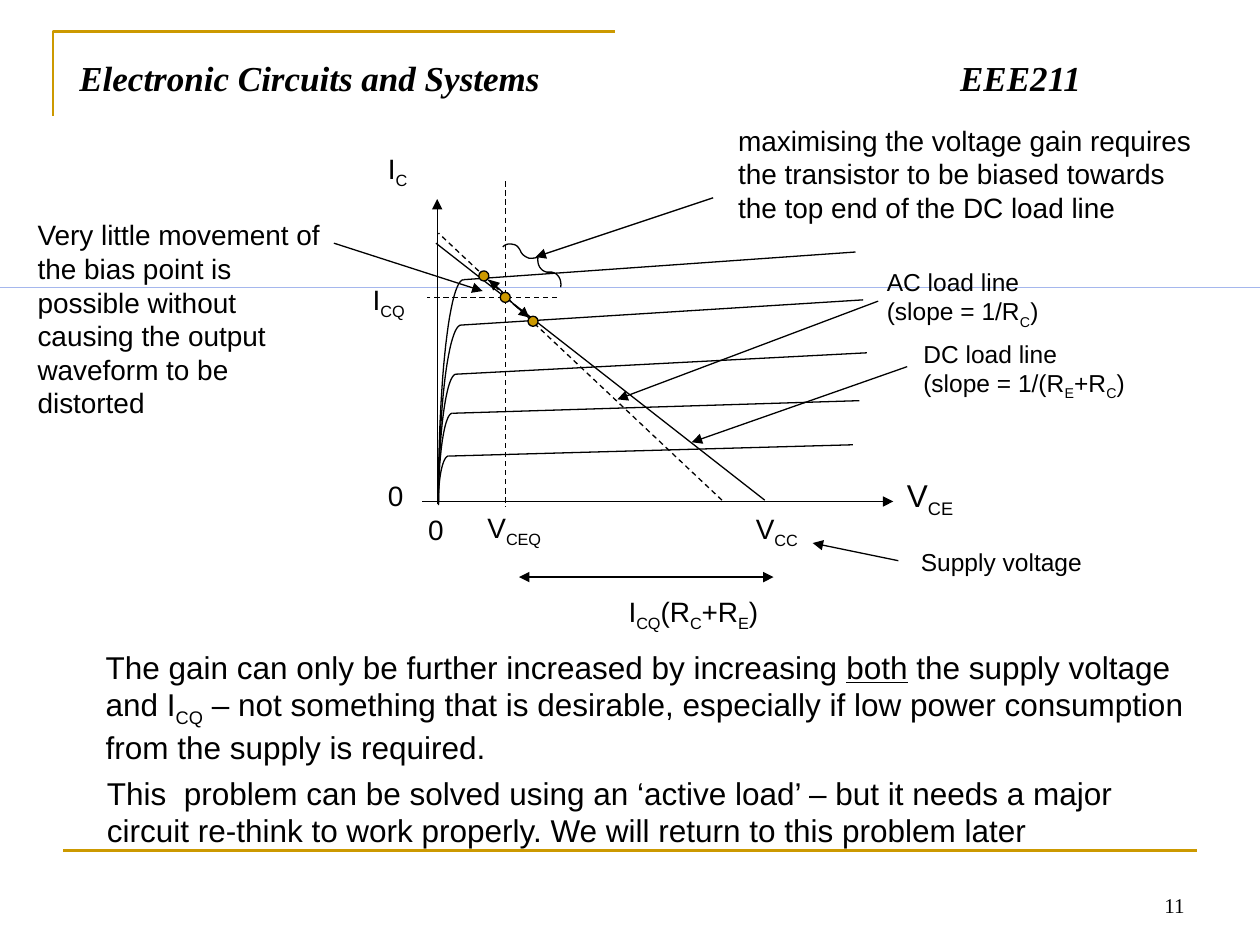
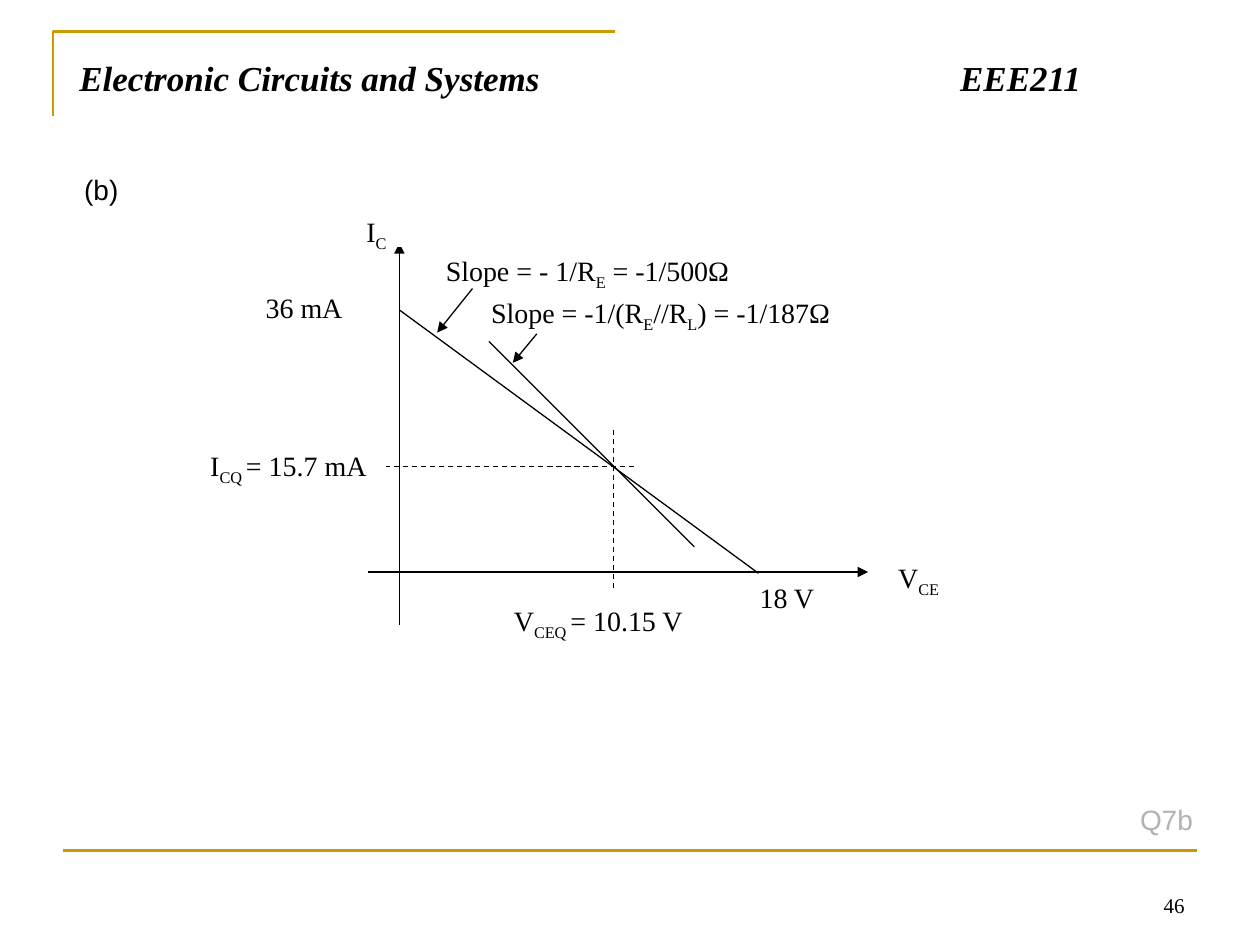
from math import sin, cos, pi
from pptx import Presentation
from pptx.util import Inches, Pt
from pptx.dml.color import RGBColor
from pptx.enum.dml import MSO_LINE as Dash
from pptx.enum.shapes import MSO_CONNECTOR as Conn, MSO_SHAPE as Shape
from pptx.enum.text import MSO_ANCHOR as Anchor, MSO_AUTO_SIZE as Fit, PP_ALIGN as Align
from pptx.oxml import parse_xml
from pptx.oxml.ns import nsdecls

SANS, SERIF = "Arial", "Times New Roman"
GOLD, BLACK, WHITE, GREY, BLUE = "CC9900", "000000", "FFFFFF", "B2B2B2", "0033CC"
tint = RGBColor.from_string


def line(slide, x1, y1, x2, y2, look="", color=BLACK, width=0.75):
    link = slide.shapes.add_connector(
        Conn.STRAIGHT, Inches(x1), Inches(y1), Inches(x2), Inches(y2))
    link.line.color.rgb = tint(color)
    link.line.width = Pt(width)
    if "dash" in look:
        link.line.dash_style = Dash.DASH
    props = link._element.spPr
    for end in ("head", "tail"):
        if end in look:
            props.find("{*}ln").append(
                parse_xml(f'<a:{end}End {nsdecls("a")} type="triangle"/>'))
    props.append(parse_xml(f'<a:effectLst {nsdecls("a")}/>'))


# "|" parts runs, "_" opens a subscript, "~" an underlined run, "\n" breaks the line
def label(slide, x, y, w, h, text, size=16, font=SANS, color=BLACK, fill=None):
    box = slide.shapes.add_textbox(Inches(x), Inches(y), Inches(w), Inches(h))
    if fill:
        box.fill.solid()
        box.fill.fore_color.rgb = tint(fill)
    box.text_frame.word_wrap = True
    para = box.text_frame.paragraphs[0]
    for part in text.split("|"):
        if part == "\n":
            para.add_line_break()
            continue
        run = para.add_run()
        run.text = part.lstrip("_~")
        run.font.size = Pt(size)
        run.font.name = font
        run.font.color.rgb = tint(color)
        if part.startswith("_"):
            run._r.get_or_add_rPr().set("baseline", "-25000")
        if part.startswith("~"):
            run.font.underline = True
    return box


deck = Presentation()
deck.slide_width, deck.slide_height = Inches(10), Inches(7.5)

knees = [(3.68, 2.22, 3.98, 6.79, 2), (3.66, 2.58, 4.01, 6.85, 2.38),
         (3.62, 2.97, 4, 6.88, 2.8), (3.59, 3.28, 3.99, 6.82, 3.18),
         (3.56, 3.62, 3.98, 6.77, 3.53)]
curves = []
for knee, top, base, end, rise in knees:
    turns = [n * pi / 48 for n in range(25)]
    curves.append([(knee - (knee - 3.48) * sin(t), base - (base - top) * cos(t))
                   for t in turns])

bends = [(3.99, 1.96), (4.01, 1.94), (4.04, 1.93), (4.07, 1.94), (4.1, 1.94),
         (4.12, 1.97), (4.13, 1.99), (4.14, 2.02), (4.17, 2.04), (4.2, 2.05),
         (4.22, 2.05), (4.25, 2.05), (4.27, 2.04), (4.26, 2.1), (4.29, 2.15),
         (4.34, 2.16), (4.35, 2.16), (4.37, 2.16), (4.38, 2.16), (4.43, 2.17),
         (4.46, 2.22), (4.45, 2.28)]
wave = []
for i in range(0, len(bends) - 1, 3):
    for n in range(9):
        t = n / 8
        mix = ((1 - t) ** 3, 3 * t * (1 - t) ** 2, 3 * t * t * (1 - t), t ** 3)
        wave.append(tuple(sum(m * p[k] for m, p in zip(mix, bends[i:i + 4]))
                          for k in (0, 1)))

frame = [(0.42, 0.92), (0.42, 0.25), (4.88, 0.25)]
slides = []
for number, paths in (("11", curves + [wave]), ("46", [])):
    slide = deck.slides.add_slide(deck.slide_layouts[5])
    slides.append(slide)

    title = slide.shapes.title
    title.left, title.top = Inches(0.53), Inches(0.4)
    title.width, title.height = Inches(8.92), Inches(0.61)
    title.text_frame.auto_size = Fit.NONE
    title.text_frame.vertical_anchor = Anchor.TOP
    para = title.text_frame.paragraphs[0]
    para.alignment = Align.LEFT
    para._p.get_or_add_pPr().append(parse_xml(
        f'<a:tabLst {nsdecls("a")}><a:tab pos="{Inches(6.99)}" algn="l"/></a:tabLst>'))
    run = para.add_run()
    run.text = "Electronic Circuits and Systems\tEEE211"
    run.font.name, run.font.size = SERIF, Pt(20)
    run.font.bold = run.font.italic = True
    run.font.color.rgb = tint(BLACK)

    line(slide, 0.5, 6.75, 9.5, 6.75, "", GOLD, 1.5)
    foot = label(slide, 7.17, 6.83, 2.33, 0.5, number, 12, SERIF)
    foot.text_frame.vertical_anchor = Anchor.BOTTOM
    foot.text_frame.paragraphs[0].alignment = Align.RIGHT

    for path in [frame] + paths:
        spots = [(Inches(x), Inches(y)) for x, y in path]
        pen = slide.shapes.build_freeform(*spots[0])
        pen.add_line_segments(spots[1:], close=False)
        form = pen.convert_to_shape()
        form.shadow.inherit = False
        form.fill.background()
        form.line.color.rgb = tint(GOLD if path is frame else BLACK)
        form.line.width = Pt(1.5 if path is frame else 0.75)

bias, answer = slides

strip = bias.shapes.add_shape(Shape.RECTANGLE, 0, Inches(2.28), Inches(10), 0)
strip.shadow.inherit = False
strip.fill.solid()
strip.fill.fore_color.rgb = tint(BLUE)
strip.line.fill.background()

for knee, top, base, end, rise in knees:
    line(bias, end, rise, knee, top)

for spec_row in [
    (3.47, 4, 3.47, 1.58, "tail"),
    (3.35, 3.98, 7.09, 3.98, "tail"),
    (4.42, 2.36, 3.39, 2.36, "dash"),
    (4.01, 1.44, 4.01, 4.02, "dash"),
    (6.07, 3.97, 3.46, 1.93),
    (5.73, 3.97, 3.48, 1.85, "dash"),
    (7.2, 2.91, 5.49, 3.51, "tail"),
    (6.97, 2.39, 4.9, 3.17, "tail"),
    (5.66, 1.57, 4.25, 2.04, "tail"),
    (6.14, 4.58, 4.12, 4.58, "head tail"),
    (7.13, 4.45, 6.45, 4.31, "tail"),
    (2.65, 1.93, 3.83, 2.31, "tail"),
    (3.99, 2.32, 3.88, 2.22, "tail"),
    (4.07, 2.41, 4.2, 2.52, "tail"),
]:
    line(bias, *spec_row)

for x, y in ((3.8, 2.15), (4.19, 2.51), (3.97, 2.32)):
    dot = bias.shapes.add_shape(
        Shape.OVAL, Inches(x), Inches(y), Inches(0.08), Inches(0.08))
    dot.shadow.inherit = False
    dot.fill.solid()
    dot.fill.fore_color.rgb = tint(GOLD)
    dot.line.color.rgb = tint(BLACK)
    dot.line.width = Pt(0.75)

for note in [
    (5.76, 0.93, 3.83, 0.9, "maximising the voltage gain requires the transistor "
     "to be biased towards the top end of the DC load line"),
    (0.2, 1.68, 2.47, 1.72, "Very little movement of the bias point is possible "
     "without causing the output waveform to be distorted"),
    (2.98, 1.15, 0.52, 0.37, "I|_C"),
    (2.86, 2.19, 0.52, 0.37, "I|_CQ"),
    (2.98, 3.75, 0.41, 0.37, "0"),
    (3.3, 4.02, 0.41, 0.37, "0"),
    (3.77, 4, 0.68, 0.37, "V|_CEQ"),
    (5.9, 4.01, 0.72, 0.37, "V|_CC"),
    (7.1, 3.73, 0.77, 0.4, "V|_CE", 18),
    (4.89, 4.67, 1.39, 0.37, "I|_CQ|(R|_C|+R|_E|)"),
    (6.94, 2.07, 1.86, 0.57, "AC load line|\n|(slope = 1/R|_C|)", 14),
    (7.23, 2.64, 1.86, 0.57, "DC load line|\n|(slope = 1/(R|_E|+R|_C|)", 14),
    (7.21, 4.29, 1.59, 0.33, "Supply voltage", 14),
    (0.74, 5.09, 8.78, 1, "The gain can only be further increased by increasing "
     "|~both| the supply voltage and I|_CQ| – not something that is desirable, "
     "especially if low power consumption from the supply is required.", 18),
    (0.75, 6.09, 8.78, 0.7, "This  problem can be solved using an ‘active load’ – "
     "but it needs a major circuit re-think to work properly. "
     "We will return to this problem later", 18),
]:
    label(bias, *note)

for stroke in [
    (2.92, 4.54, 6.89, 4.54, "tail"),
    (3.17, 4.96, 3.17, 1.93, "tail"),
    (6.02, 4.55, 3.17, 2.46),
    (3.88, 2.71, 5.51, 4.34),
    (5.03, 3.7, 3.06, 3.7, "dash"),
    (4.87, 3.41, 4.87, 4.69, "dash"),
]:
    line(answer, *stroke)

for note in [
    (2.81, 1.65, 0.38, 0.31, "I|_C"),
    (7.03, 4.4, 0.72, 0.32, "V|_CE"),
    (5.93, 4.56, 0.75, 0.31, "18 V"),
    (2.01, 2.26, 1.09, 0.31, "36 mA"),
    (3.98, 4.74, 1.68, 0.33, "V|_CEQ |= 10.15 V"),
    (3.8, 2.3, 3.27, 0.35, "Slope = -1/(R|_E|//R|_L|) = -1/187Ω"),
    (3.44, 1.96, 2.64, 0.35, "Slope = - 1/R|_E| = -1/500Ω"),
]:
    label(answer, *note, font=SERIF, fill=WHITE)

label(answer, 1.57, 3.51, 1.52, 0.32, "I|_CQ |= 15.7 mA", font=SERIF)
label(answer, 0.57, 1.32, 0.85, 0.37, "(b)")
label(answer, 8.95, 6.32, 0.86, 0.37, "Q7b", color=GREY)
line(answer, 4.26, 2.65, 4.07, 2.88, "tail")
line(answer, 3.75, 2.29, 3.47, 2.64, "tail")

deck.save("out.pptx")
